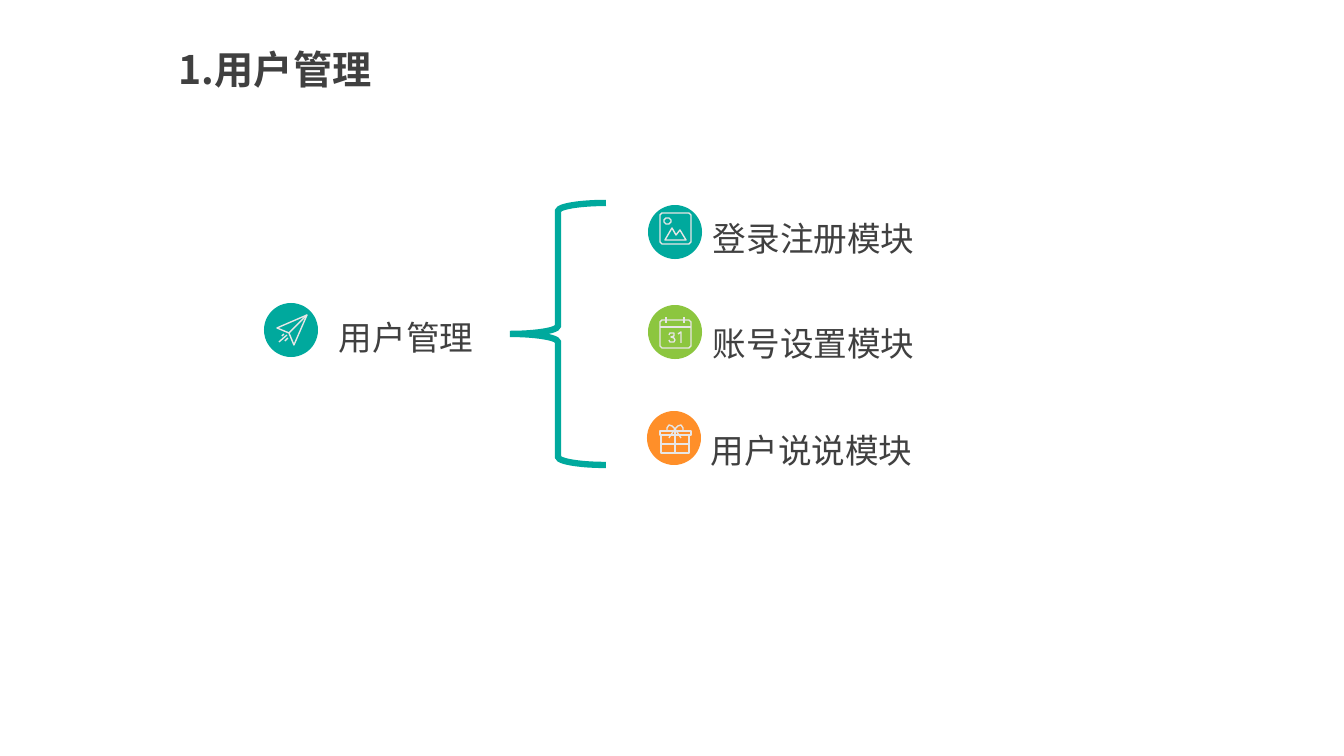
from lxml import etree
from pptx import Presentation
from pptx.dml.color import RGBColor
from pptx.enum.shapes import MSO_SHAPE
from pptx.enum.text import MSO_AUTO_SIZE, PP_ALIGN
from pptx.oxml.ns import qn
from pptx.util import Emu, Pt

OVAL = MSO_SHAPE.OVAL
BRACE = MSO_SHAPE.LEFT_BRACE
FIT_SHAPE = MSO_AUTO_SIZE.SHAPE_TO_FIT_TEXT
LEFT = PP_ALIGN.LEFT
JUSTIFY = PP_ALIGN.JUSTIFY

TEAL = RGBColor(0x00, 0xA9, 0x9D)
GREEN = RGBColor(0x8C, 0xC6, 0x3F)
ORANGE = RGBColor(0xFF, 0x8F, 0x29)
PALE = RGBColor(0xE7, 0xE6, 0xE6)
DARK = RGBColor(0x40, 0x40, 0x40)
FONT = "Noto Sans CJK SC"
BADGE = 54


def px(value):
    return Emu(round(value * 914400 / 100.8))


def outline(shape, color, width):
    shape.shadow.inherit = False
    shape.fill.background()
    shape.line.color.rgb = color
    shape.line.width = Pt(width)


presentation = Presentation()
presentation.slide_width = px(1344)
presentation.slide_height = px(756)
slide = presentation.slides.add_slide(presentation.slide_layouts[6])

texts = [
    ("1.用户管理", 169, 40, 363, 57, 28, True, LEFT, 1.0),
    ("登录注册模块", 703, 205, 463, 54, 24, False, JUSTIFY, 1.2),
    ("账号设置模块", 703, 310, 463, 54, 24, False, JUSTIFY, 1.2),
    ("用户说说模块", 701, 417, 463, 54, 24, False, JUSTIFY, 1.2),
    ("用户管理", 329, 304, 463, 54, 24, False, JUSTIFY, 1.2),
]
for text, left, top, width, height, size, bold, alignment, spacing in texts:
    box = slide.shapes.add_textbox(px(left), px(top), px(width), px(height))
    box.text_frame.word_wrap = True
    box.text_frame.auto_size = FIT_SHAPE
    box.text_frame.text = text
    paragraph = box.text_frame.paragraphs[0]
    paragraph.alignment = alignment
    paragraph.line_spacing = spacing
    run = paragraph.runs[0]
    run.font.size = Pt(size)
    run.font.bold = bold
    run.font.name = FONT
    run.font.color.rgb = DARK
    east_asian = etree.SubElement(run.font._element, qn("a:ea"))
    east_asian.set("typeface", FONT)

icons = [
    (648, 205, TEAL, [
        [(662, 213), (689, 213), (691, 215), (691, 242), (689, 244),
         (662, 244), (660, 242), (660, 215), (662, 213)],
        [(666, 218), (669, 218), (671, 220), (671, 222), (669, 224),
         (666, 224), (664, 222), (664, 220), (666, 218)],
        [(665, 240), (672, 228), (676, 235), (680, 230), (686, 240), (665, 240)],
    ]),
    (648, 305, GREEN, [
        [(662, 320), (689, 320), (691, 322), (691, 346), (689, 348),
         (662, 348), (660, 346), (660, 322), (662, 320)],
        [(660, 327), (691, 327)],
        [(666, 317), (666, 323)],
        [(684, 317), (684, 323)],
        [(669, 335), (670, 333), (674, 333), (674, 336), (671, 337),
         (674, 338), (675, 340), (674, 342), (670, 342), (669, 340)],
        [(678, 334), (681, 332), (681, 343)],
    ]),
    (647, 411, ORANGE, [
        [(660, 431), (691, 431), (691, 435), (660, 435), (660, 431)],
        [(661, 435), (661, 453), (689, 453), (689, 435)],
        [(675, 431), (675, 453)],
        [(661, 444), (689, 444)],
        [(667, 431), (667, 428), (669, 425), (672, 426), (675, 429), (669, 438)],
        [(683, 431), (683, 428), (681, 425), (678, 426), (675, 429), (681, 438)],
    ]),
    (264, 303, TEAL, [
        [(277, 328), (307, 315), (294, 345), (289, 333), (277, 328)],
        [(289, 333), (307, 315)],
        [(287, 335), (279, 342)],
        [(288, 338), (285, 341)],
        [(284, 334), (282, 336)],
    ]),
]
for left, top, color, strokes in icons:
    badge = slide.shapes.add_shape(OVAL, px(left), px(top), px(BADGE), px(BADGE))
    badge.shadow.inherit = False
    badge.fill.solid()
    badge.fill.fore_color.rgb = color
    badge.line.fill.background()
    start_x, start_y = strokes[0][0]
    builder = slide.shapes.build_freeform(px(start_x), px(start_y))
    for number, points in enumerate(strokes):
        corners = [(px(x), px(y)) for x, y in points]
        if number:
            builder.move_to(*corners[0])
        builder.add_line_segments(corners[1:], close=False)
    outline(builder.convert_to_shape(), PALE, 1)

brace = slide.shapes.add_shape(BRACE, px(510), px(203), px(96), px(262))
outline(brace, TEAL, 4.5)
miter = etree.SubElement(brace.line._get_or_add_ln(), qn("a:miter"))
miter.set("lim", "800000")

presentation.save("out.pptx")
